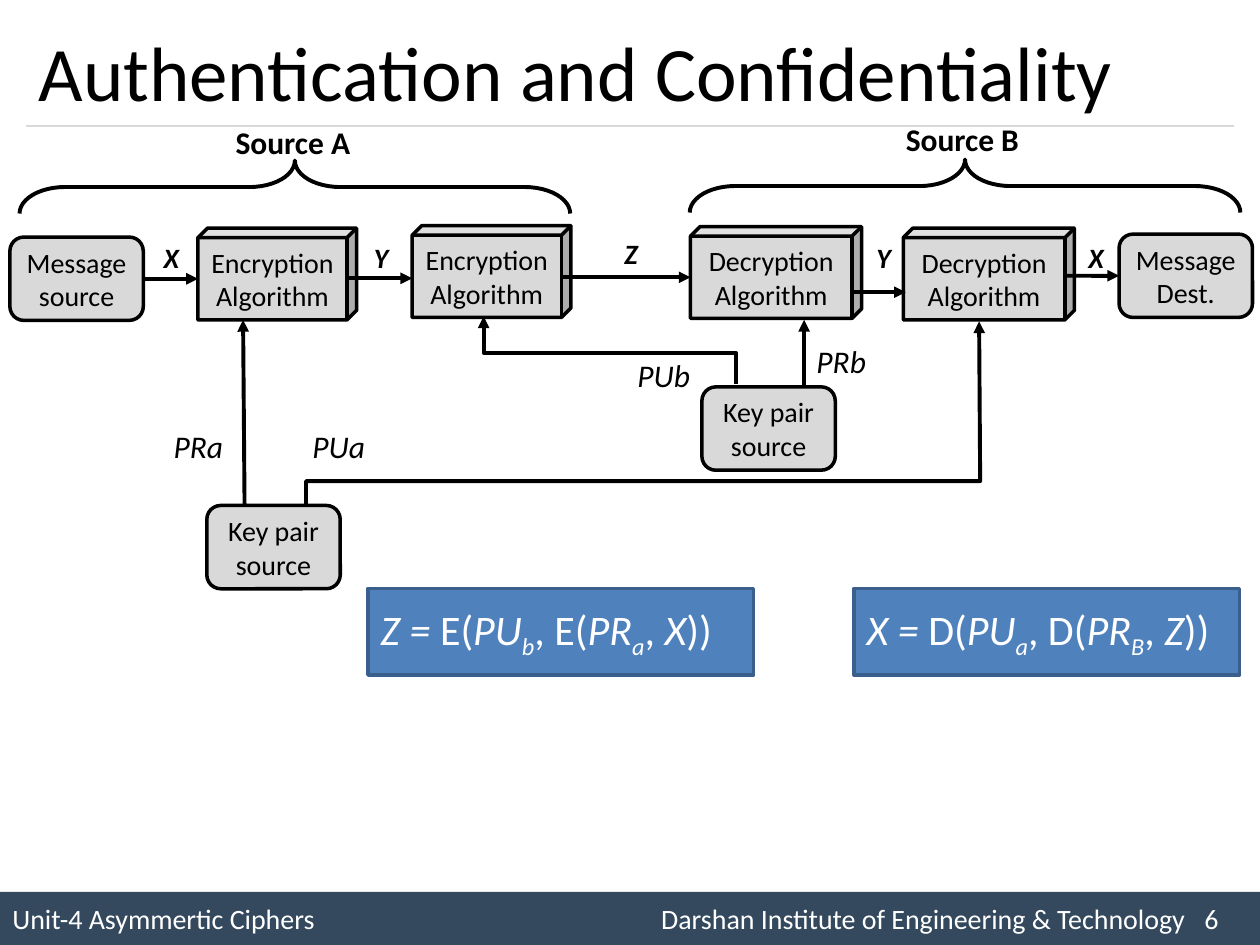
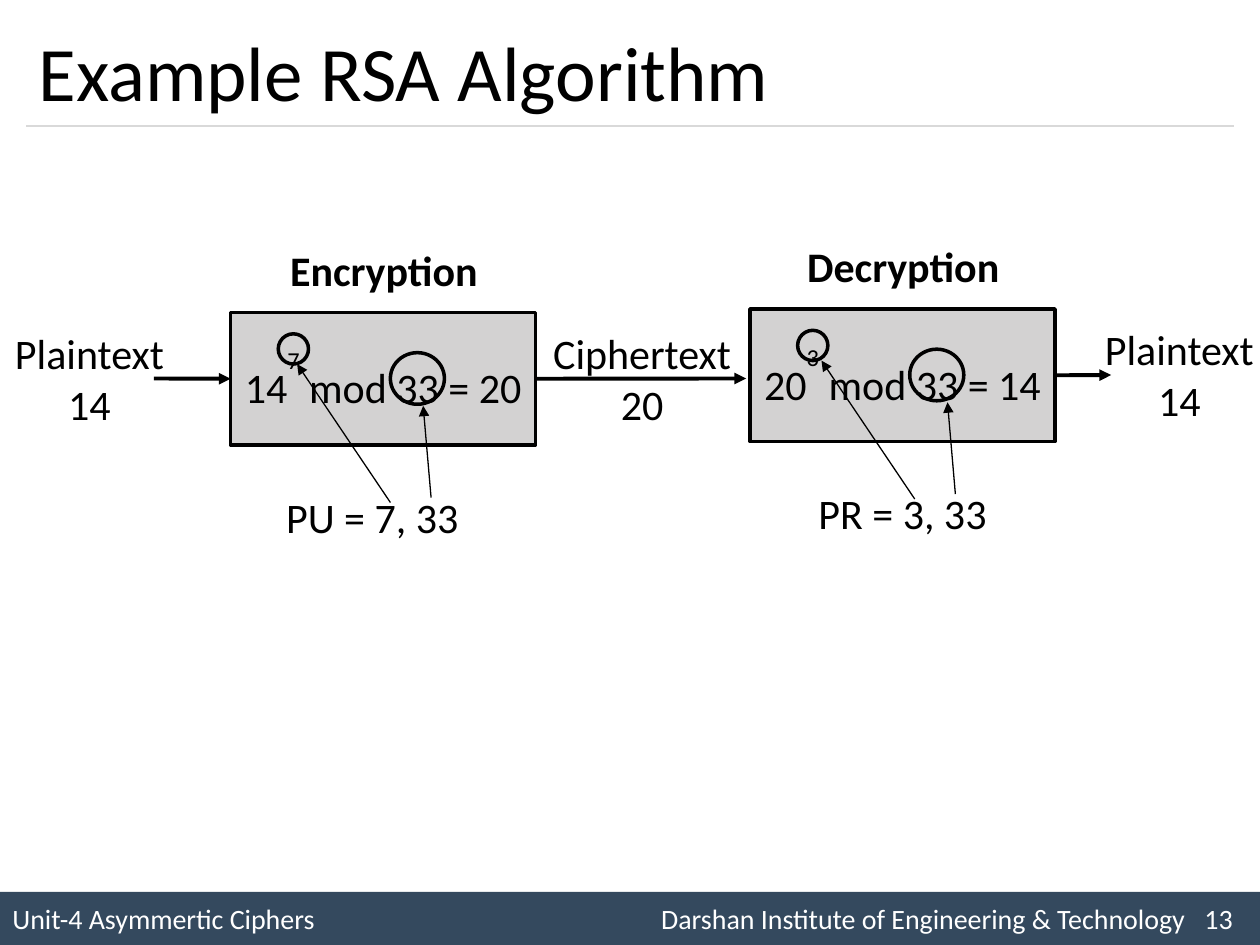
from lxml import etree
from pptx import Presentation
from pptx.dml.color import RGBColor
from pptx.enum.shapes import MSO_CONNECTOR, MSO_SHAPE
from pptx.enum.text import MSO_ANCHOR, PP_ALIGN
from pptx.oxml.ns import qn
from pptx.util import Cm, Pt

RECT = MSO_SHAPE.RECTANGLE
ROUND = MSO_SHAPE.ROUNDED_RECTANGLE
CUBE = MSO_SHAPE.CUBE
BRACE = MSO_SHAPE.RIGHT_BRACE
OVAL = MSO_SHAPE.OVAL
STRAIGHT = MSO_CONNECTOR.STRAIGHT
LEFT, CENTER = PP_ALIGN.LEFT, PP_ALIGN.CENTER
TOP, MIDDLE = MSO_ANCHOR.TOP, MSO_ANCHOR.MIDDLE
LEFT_SIDE, RIGHT_SIDE = 1, 3

COLORS = {
    "ink": "000000",
    "white": "FFFFFF",
    "footer": "34495E",
    "rule": "D9D9D9",
    "node": "D9D9D9",
    "step": "D3D2D2",
    "formula": "4F81BD",
    "formula_edge": "3A5F8C",
}
SPAN_STYLES = {
    "plain": {"italic": False},
    "var": {"italic": True},
    "sub": {"italic": True, "baseline": -25000},
    "sup": {"baseline": 80000},
}


def draw_box(page, kind, place, lines=(), fill=None, edge=None, weight=2,
             align=CENTER, color="ink", anchor=None, **formats):
    lengths = [Cm(value) for value in place]
    if kind is None:
        box = page.shapes.add_textbox(*lengths)
    else:
        box = page.shapes.add_shape(kind, *lengths)
        box.shadow.inherit = False
        if fill:
            box.fill.solid()
            box.fill.fore_color.rgb = RGBColor.from_string(COLORS[fill])
        else:
            box.fill.background()
        if edge:
            box.line.color.rgb = RGBColor.from_string(COLORS[edge])
            box.line.width = Pt(weight)
        else:
            box.line.fill.background()
    frame = box.text_frame
    frame.word_wrap = True
    frame.vertical_anchor = anchor or (MIDDLE if kind else TOP)
    if align == CENTER:
        frame.margin_left = frame.margin_right = Cm(0.1)
    for index, line in enumerate(lines):
        para = frame.paragraphs[0] if index == 0 else frame.add_paragraph()
        para.alignment = align
        for text, style in [(line, None)] if isinstance(line, str) else line:
            span = para.add_run()
            span.text = text
            values = {"name": "Calibri", **formats, **SPAN_STYLES.get(style, {})}
            baseline = values.pop("baseline", None)
            for name, value in values.items():
                setattr(span.font, name, value)
            span.font.color.rgb = RGBColor.from_string(COLORS[color])
            if baseline:
                span._r.get_or_add_rPr().set("baseline", str(baseline))
    return box


def draw_path(page, points, color="ink", weight=2.25, arrow=True):
    corners = [(Cm(x), Cm(y)) for x, y in points]
    if len(corners) == 2:
        path = page.shapes.add_connector(STRAIGHT, *corners[0], *corners[1])
    else:
        builder = page.shapes.build_freeform(*corners[0], scale=1.0)
        builder.add_line_segments(corners[1:], close=False)
        path = builder.convert_to_shape()
        path.fill.background()
        path.shadow.inherit = False
    path.line.color.rgb = RGBColor.from_string(COLORS[color])
    path.line.width = Pt(weight)
    outline = path._element.spPr
    if arrow:
        etree.SubElement(outline.find(qn("a:ln")), qn("a:tailEnd"), type="triangle")
    if len(corners) == 2:
        etree.SubElement(outline, qn("a:effectLst"))
    return path


deck = Presentation()
deck.slide_width, deck.slide_height = Cm(25.4), Cm(19.05)

pages = []
for title, number in [("Authentication and Confidentiality", 6),
                      ("Example RSA Algorithm", 13)]:
    page = deck.slides.add_slide(deck.slide_layouts[6])
    footer = draw_box(page, RECT, (0, 17.98, 25.4, 1.07), fill="footer")
    para = footer.text_frame.paragraphs[0]
    footer.text_frame.margin_left = Cm(0.25)
    para.alignment = LEFT
    tabs = etree.SubElement(para._p.get_or_add_pPr(), qn("a:tabLst"))
    for stop in (13.08, 24.03):
        etree.SubElement(tabs, qn("a:tab"), pos=str(Cm(stop)), algn="l")
    span = para.add_run()
    span.text = ("Unit-4 Asymmertic Ciphers\t"
                 f"Darshan Institute of Engineering & Technology\t{number}")
    for name, value in {"name": "Calibri", "size": Pt(16)}.items():
        setattr(span.font, name, value)
    span.font.color.rgb = RGBColor.from_string(COLORS["white"])
    draw_path(page, [(0.53, 2.54), (24.87, 2.54)], "rule", 0.75, arrow=False)
    draw_box(page, None, (0.53, 0.3, 24.33, 2.24), [title], align=LEFT,
             anchor=MIDDLE, size=Pt(44))
    pages.append(page)

scheme, example = pages

ends = []
for left, top, lines in [
    (0.2, 4.78, ["Message", "source"]),
    (22.56, 4.72, ["Message", "Dest."]),
    (4.17, 10.19, ["Key pair", "source"]),
    (14.15, 7.8, ["Key pair", "source"]),
]:
    ends.append(draw_box(scheme, ROUND, (left, top, 2.69, 1.68), lines,
                         "node", "ink", size=Pt(16)))
source, destination = ends[:2]

for left, top, width, name in [
    (3.99, 4.6, 3.2, "Encryption"),
    (8.31, 4.55, 3.2, "Encryption"),
    (13.92, 4.57, 3.45, "Decryption"),
    (18.21, 4.6, 3.45, "Decryption"),
]:
    cube = draw_box(scheme, CUBE, (left, top, width, 1.85), [name, "Algorithm"],
                    "node", "ink", size=Pt(16))
    cube.adjustments[0] = 0.104

flows = []
for start, end, y, name, left, top in [
    (2.89, 3.99, 5.62, "X", 3.05, 4.72),
    (7.01, 8.31, 5.61, "Y", 7.29, 4.72),
    (11.3, 13.92, 5.59, "Z", 12.34, 4.65),
    (17.22, 18.26, 5.89, "Y", 17.42, 4.72),
    (21.51, 22.56, 5.56, "X", 21.69, 4.72),
]:
    flows.append(draw_path(scheme, [(start, y), (end, y)]))
    draw_box(scheme, None, (left, top, 0.9, 0.94), [name], align=LEFT,
             size=Pt(16), bold=True, italic=True)
flows[0].begin_connect(source, RIGHT_SIDE)
flows[-1].end_connect(destination, LEFT_SIDE)

for points in [
    [(4.93, 10.19), (4.9, 6.45)],
    [(6.17, 10.19), (6.17, 9.7), (19.76, 9.7), (19.74, 6.48)],
    [(16.21, 7.8), (16.21, 6.45)],
    [(14.83, 7.75), (14.83, 7.11), (9.75, 7.11), (9.75, 6.38)],
]:
    draw_path(scheme, points)

for name, left, top in [("PRa", 3.25, 8.48), ("PUa", 6.05, 8.48),
                        ("PRb", 16.21, 6.78), ("PUb", 12.6, 7.06)]:
    draw_box(scheme, None, (left, top, 1.7, 1.02), [name], align=LEFT,
             size=Pt(18), italic=True)

for name, left, top, label_top in [("Source A", 5.41, -1.78, 2.36),
                                   ("Source B", 18.92, -1.8, 2.29)]:
    brace = draw_box(scheme, BRACE, (left, top, 1.07, 11.1), edge="ink", weight=2.25)
    brace.rotation = 270
    brace.adjustments[0] = 0.853
    draw_box(scheme, None, (left - 0.91, label_top, 2.9, 1.02), [name],
             align=LEFT, size=Pt(18), bold=True)

for left, result, call, outer, inner, message in [
    (7.42, "Z", "E(", "b", "a", "X"),
    (17.22, "X", "D(", "a", "B", "Z"),
]:
    formula = [
        (f"{result} = ", "var"), (call, "plain"), ("PU", "var"), (outer, "sub"),
        (f", {call}", "plain"), ("PR", "var"), (inner, "sub"), (", ", "plain"),
        (message, "var"), ("))", "plain"),
    ]
    draw_box(scheme, RECT, (left, 11.86, 7.77, 1.75), [formula], "formula",
             "formula_edge", align=LEFT, color="white", size=Pt(24))

for left, top, width, lines in [
    (0, 6.48, 3.61, ["Plaintext", "14"]),
    (10.85, 6.48, 4.19, ["Ciphertext", "20"]),
    (21.97, 6.4, 3.61, ["Plaintext", "14"]),
]:
    draw_box(example, None, (left, top, width, 2.31), lines, size=Pt(24))

steps = []
for heading, base, power, result, key, shift, key_shift, pointer_shift, rise in [
    ("Encryption", "14", "7", "20", "PU = 7, 33", 0, 0, 0, 0),
    ("Decryption", "20", "3", "14", "PR = 3, 33", 10.47, 10.69, 10.57, 0.07),
]:
    power_line = [(base, "plain"), (power, "sup"), (f" mod 33 = {result}", "plain")]
    steps.append(draw_box(example, RECT, (4.65 + shift, 6.3 - rise, 6.15, 2.67),
                          [power_line], "step", "ink", size=Pt(24)))
    draw_box(example, None, (5.49 + shift, 4.8 - rise, 4.5, 1.27), [heading],
             size=Pt(24), bold=True)
    draw_box(example, None, (5.41 + key_shift, 9.78 - rise, 4.19, 1.27), [key],
             size=Pt(24))
    for left, top, width, height in [(5.61, 6.73, 0.61, 0.61),
                                     (7.87, 7.11, 1.09, 1.04)]:
        draw_box(example, OVAL, (left + shift, top - rise, width, height), edge="ink")
    for pointer in [[(7.87, 10.13), (5.99, 7.34)], [(8.69, 10.03), (8.53, 8.18)]]:
        draw_path(example, [(x + pointer_shift, y - rise) for x, y in pointer],
                  weight=0.75)

encryption, decryption = steps
plain_in = draw_path(example, [(3.1, 7.63), (4.65, 7.63)])
plain_in.end_connect(encryption, LEFT_SIDE)
cipher = draw_path(example, [(10.8, 7.63), (15.04, 7.63)])
cipher.begin_connect(encryption, RIGHT_SIDE)
plain_out = draw_path(example, [(21.27, 7.56), (22.4, 7.56)])
plain_out.begin_connect(decryption, RIGHT_SIDE)

deck.save("out.pptx")
